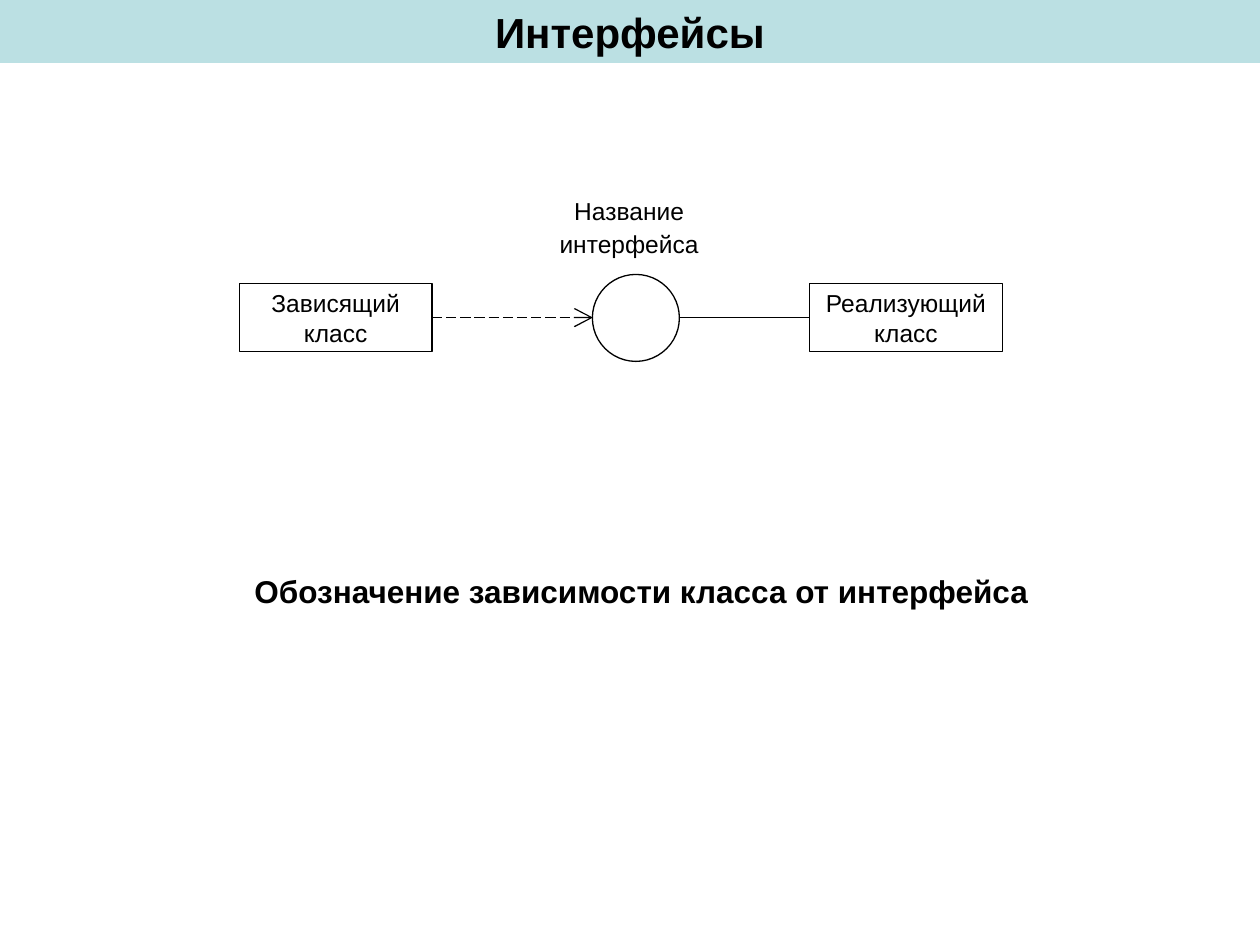
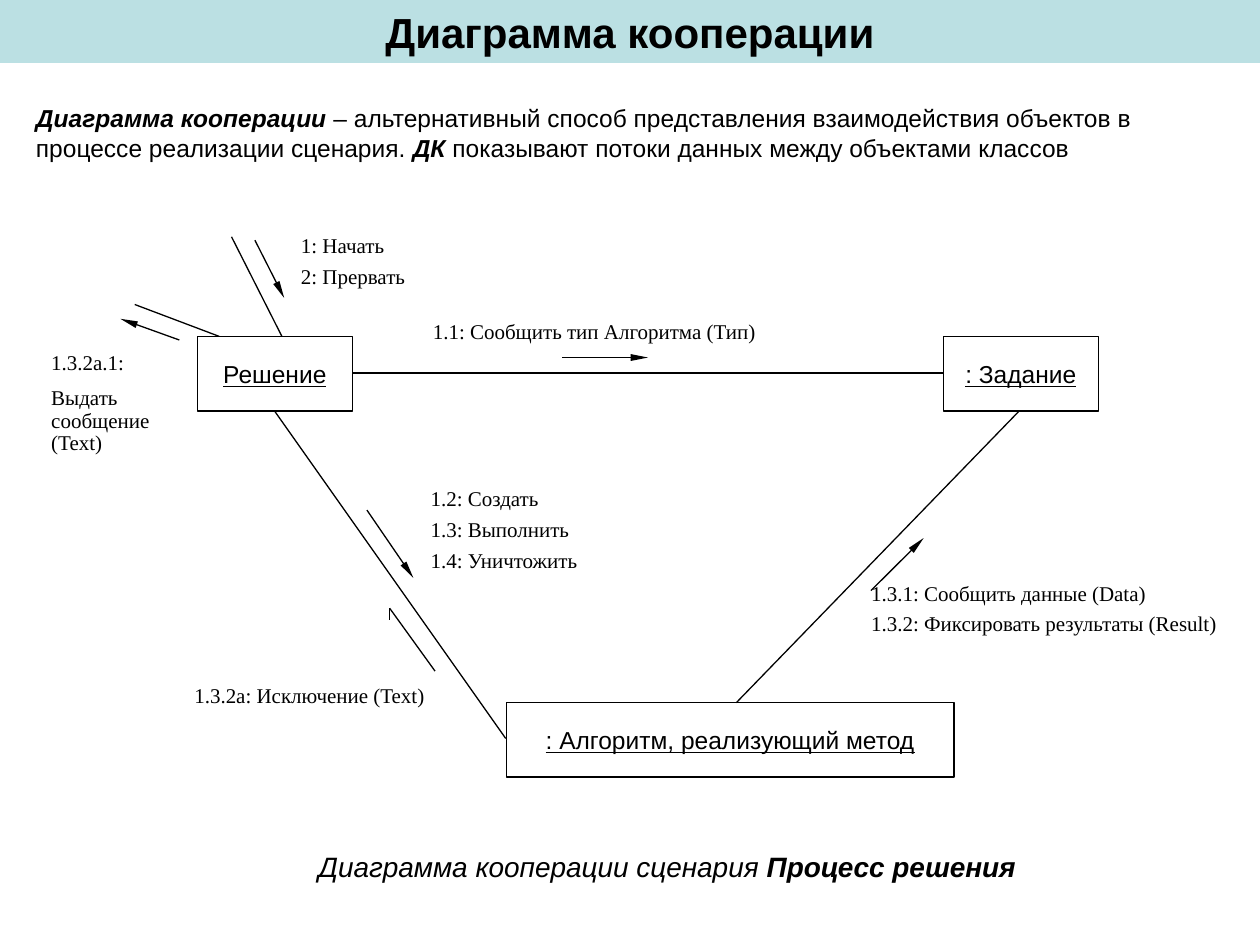
"""Build two slides on class diagrams: interfaces and a collaboration diagram."""
from lxml.etree import SubElement
from pptx import Presentation
from pptx.dml.color import RGBColor
from pptx.enum.dml import MSO_LINE
from pptx.enum.shapes import MSO_CONNECTOR, MSO_SHAPE
from pptx.enum.text import MSO_ANCHOR, PP_ALIGN
from pptx.oxml.ns import qn
from pptx.util import Pt

COLORS = {"band": "BBE0E3", "ink": "000000"}
INK = RGBColor.from_string(COLORS["ink"])
SANS, SERIF = "Arial", "Times New Roman"
LEFT, MID = PP_ALIGN.LEFT, PP_ALIGN.CENTER


def write(shape, rows, size=14, font=SANS, align=MID, pitch=1, gap=0):
    """Fill a shape with rows; each row is a list of (text, style letters)."""
    frame = shape.text_frame
    frame.word_wrap = True
    for i, row in enumerate(rows):
        para = frame.paragraphs[0] if i == 0 else frame.add_paragraph()
        para.alignment = align
        para.line_spacing = pitch
        para.space_before = Pt(gap if i else 0)
        for words, style in row:
            run = para.add_run()
            run.text = words
            run.font.name = font
            run.font.size = Pt(size)
            run.font.color.rgb = INK
            run.font.bold = "b" in style
            run.font.italic = "i" in style
            run.font.underline = "u" in style
    return frame


def link(slide, x1, y1, x2, y2, head=None, width="sm", dash=None):
    """Draw a thin line with an optional arrowhead at its end."""
    line = slide.shapes.add_connector(
        MSO_CONNECTOR.STRAIGHT, Pt(x1), Pt(y1), Pt(x2), Pt(y2))
    line.line.color.rgb = INK
    line.line.width = Pt(0.75)
    if dash:
        line.line.dash_style = dash
    props = line._element.spPr
    if head:
        SubElement(props.find(qn("a:ln")), qn("a:tailEnd"),
                   type=head, w=width, len="lg")
    SubElement(props, qn("a:effectLst"))


deck = Presentation()
deck.slide_width, deck.slide_height = Pt(720), Pt(540)
slides = []
for title in ("Интерфейсы", "Диаграмма кооперации"):
    slide = deck.slides.add_slide(deck.slide_layouts[6])
    band = slide.shapes.add_shape(MSO_SHAPE.RECTANGLE, 0, 0, Pt(720), Pt(36))
    band.shadow.inherit = False
    band.fill.solid()
    band.fill.fore_color.rgb = RGBColor.from_string(COLORS["band"])
    band.line.fill.background()
    write(band, [[(title, "b")]], 24).vertical_anchor = MSO_ANCHOR.TOP
    slides.append(slide)
faces, coop = slides

nodes = [
    (faces, MSO_SHAPE.OVAL, 338.5, 156.8, 49.7, 49.7, [], ""),
    (faces, MSO_SHAPE.RECTANGLE, 462.7, 162, 110, 39, ["Реализующий", "класс"], ""),
    (faces, MSO_SHAPE.RECTANGLE, 136.8, 162, 110, 39, ["Зависящий", "класс"], ""),
    (coop, MSO_SHAPE.RECTANGLE, 112.8, 192.4, 88.6, 42.5, ["Решение"], "u"),
    (coop, MSO_SHAPE.RECTANGLE, 539.1, 192.4, 88.6, 42.5, [": Задание"], "u"),
    (coop, MSO_SHAPE.RECTANGLE, 289.4, 401.5, 255.8, 42.5,
     [": Алгоритм, реализующий метод"], "u"),
]
for slide, kind, x, y, w, h, names, style in nodes:
    node = slide.shapes.add_shape(kind, Pt(x), Pt(y), Pt(w), Pt(h))
    node.shadow.inherit = False
    node.fill.background()
    node.line.color.rgb = INK
    node.line.width = Pt(0.75)
    if names:
        frame = write(node, [[(name, style)] for name in names])
        frame.vertical_anchor = MSO_ANCHOR.MIDDLE
        frame.word_wrap = False

link(faces, 388.2, 181.5, 462.7, 181.5)
link(faces, 246.8, 181.5, 338.8, 181.5, "arrow", "lg", MSO_LINE.LONG_DASH)

ties = [
    (132.3, 135.3, 161.2, 192.4), (125.2, 192.2, 77, 174),
    (201.2, 213.1, 538.8, 213.1), (157.2, 235.3, 289, 422),
    (582, 235.3, 420.8, 401.5),
    (248.6, 383.5, 222.7, 347.6), (222.7, 347.6, 222.7, 354.3),
]
for ends in ties:
    link(coop, *ends)

flows = [
    (145.7, 137.3, 162.4, 170.3), (102.5, 194.3, 68.8, 182.2),
    (321.3, 204.3, 370.3, 204.3), (497.7, 337.5, 527.8, 307.5),
    (209.7, 291.5, 236.2, 330.2),
]
for ends in flows:
    link(coop, *ends, "triangle")

serif = dict(size=12, font=SERIF, align=LEFT, pitch=0.7, gap=7.5)
notes = [
    (faces, 299.5, 114.5, 120, 36, [[("Название", "")], [("интерфейса", "")]],
     dict(pitch=0.6, gap=8.8)),
    (faces, 13, 323.3, 707, 29,
     [[("Обозначение зависимости класса от интерфейса", "b")]], dict(size=18)),
    (coop, 13.5, 55.4, 683.5, 41,
     [[("Диаграмма кооперации", "bi"),
       (" – альтернативный способ представления взаимодействия объектов"
        " в процессе реализации сценария. ", ""),
       ("ДК", "bi"),
       (" показывают потоки данных между объектами классов", "")]],
     dict(align=LEFT)),
    (coop, 164.9, 133.2, 77.8, 35.3,
     [[("1: Начать", "")], [("2: Прервать", "")]], serif),
    (coop, 240.3, 182.2, 247, 17.3,
     [[("1.1: Сообщить тип Алгоритма (Тип)", "")]], serif),
    (coop, 239, 277.9, 107.3, 52.6,
     [[("1.2: Создать", "")], [("1.3: Выполнить", "")],
      [("1.4: Уничтожить", "")]], serif),
    (coop, 104, 390.2, 152, 17.3,
     [[("1.3.2а: Исключение (Text)", "")]], serif),
    (coop, 490.7, 331.9, 217.5, 35.3,
     [[("1.3.1: Сообщить данные (Data)", "")],
      [("1.3.2: Фиксировать результаты (Result)", "")]], serif),
    (coop, 164.9, 481.7, 432.7, 26.6,
     [[("Диаграмма кооперации сценария", "i"), (" Процесс решения", "bi")]],
     dict(size=16)),
    (coop, 22.2, 200.2, 77.8, 64,
     [[("1.3.2а.1:", "")], [("Выдать сообщение (Text)", "")]], serif),
]
for slide, x, y, w, h, rows, look in notes:
    note = slide.shapes.add_textbox(Pt(x), Pt(y), Pt(w), Pt(h))
    frame = write(note, rows, **look)
frame.paragraphs[1].line_spacing = 0.9

deck.save("out.pptx")
